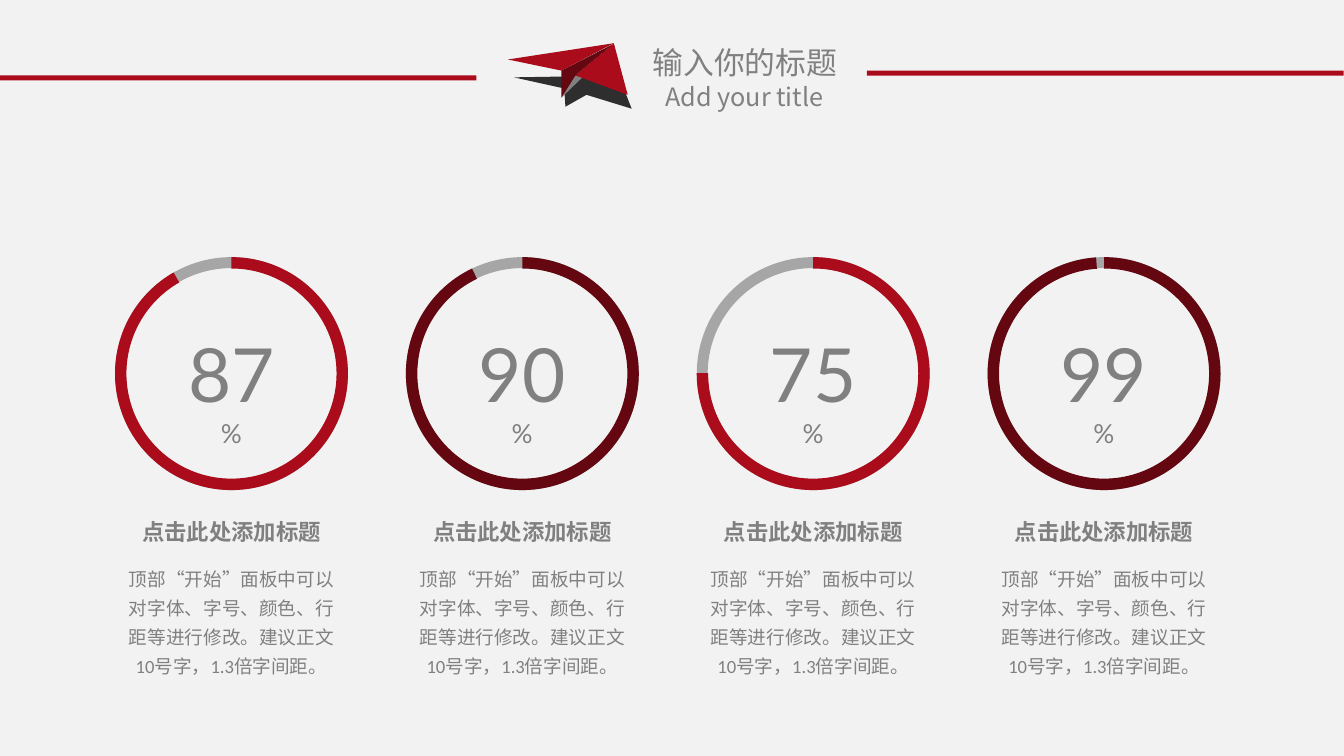
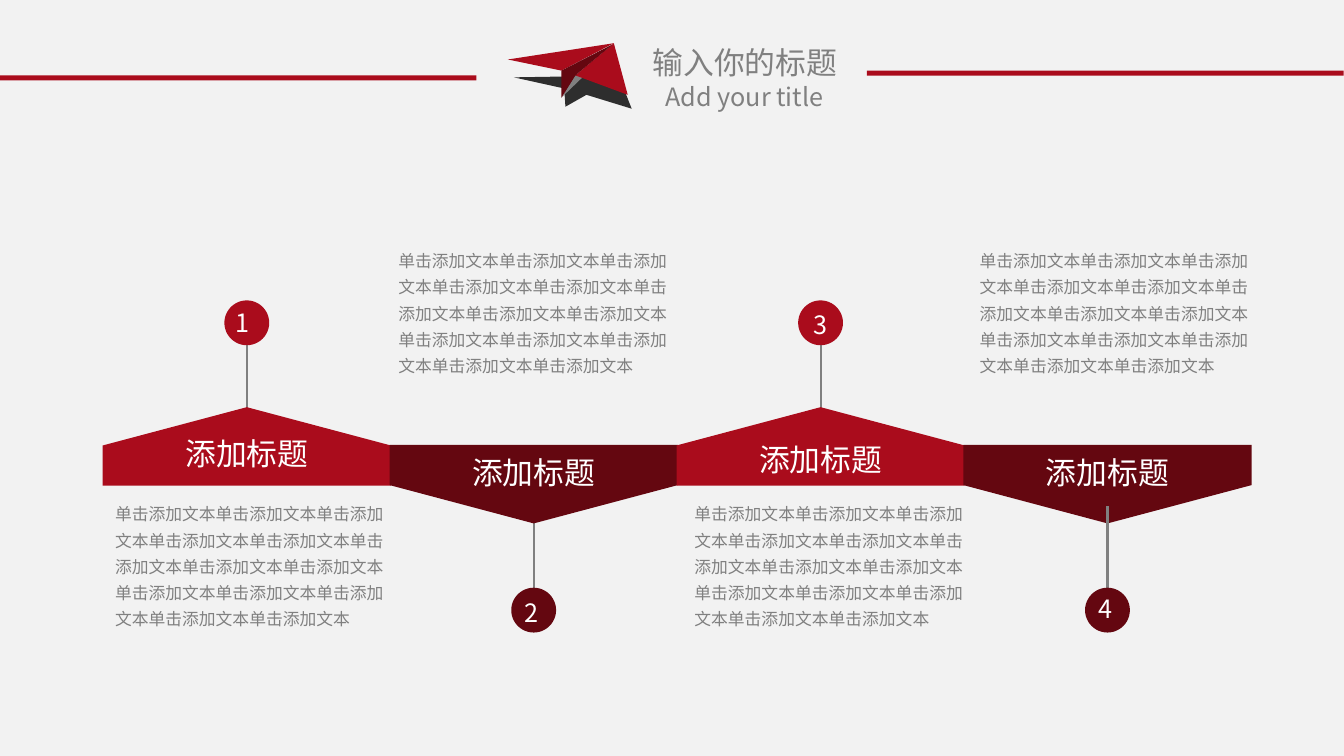
from dataclasses import dataclass

from lxml import etree
from pptx import Presentation
from pptx.dml.color import RGBColor
from pptx.enum.shapes import MSO_CONNECTOR, MSO_SHAPE
from pptx.enum.text import PP_ALIGN
from pptx.oxml.ns import qn
from pptx.util import Cm, Pt

RECT, DONUT, ARC = MSO_SHAPE.RECTANGLE, MSO_SHAPE.DONUT, MSO_SHAPE.BLOCK_ARC
OVAL, PLATE = MSO_SHAPE.OVAL, MSO_SHAPE.PENTAGON
STRAIGHT = MSO_CONNECTOR.STRAIGHT
LEFT, CENTER = PP_ALIGN.LEFT, PP_ALIGN.CENTER

PAPER = RGBColor(0xF2, 0xF2, 0xF2)
RED = RGBColor(0xAA, 0x0C, 0x1C)
MAROON = RGBColor(0x64, 0x07, 0x10)
CHARCOAL = RGBColor(0x2E, 0x2E, 0x2E)
GRAY = RGBColor(0x80, 0x80, 0x80)
SILVER = RGBColor(0xA6, 0xA6, 0xA6)
WHITE = RGBColor(0xFF, 0xFF, 0xFF)
CJK = "Noto Sans CJK SC"

SLIDE_WIDTH, SLIDE_HEIGHT = 33.87, 19.05
DEFAULT_INSETS, GAUGE_INSETS, BODY_INSETS = (0.25, 0.13), (0.33, 0.18), (0.18, 0.1)

PLANE_FACETS = [
    (CHARCOAL, [(1.57, 0.71), (2.95, 1.22), (3.12, 1.65), (1.98, 1.3),
                (1.45, 1.6), (1.42, 1.14), (0.15, 0.86), (1.37, 0.84)]),
    (GRAY, [(1.7, 0.81), (1.88, 0.86), (1.35, 1.37)]),
    (RED, [(1.7, 0.81), (2.67, 0), (3.02, 1.3)]),
    (RED, [(1.35, 0.69), (2.67, 0), (0, 0.41)]),
    (MAROON, [(1.35, 0.69), (2.54, 0.08), (2.64, 0.03), (1.7, 0.81), (1.35, 1.37)]),
]

GAUGE_SIZE, GAUGE_PITCH = 5.87, 7.33
GAUGES = [("87", 29.8, RED), ("90", 25.6, MAROON), ("75", 89.8, RED), ("99", 3.9, MAROON)]
GAUGE_TITLE = "点击此处添加标题"
GAUGE_BODY = "顶部“开始”面板中可以对字体、字号、颜色、行距等进行修改。建议正文10号字，1.3倍字间距。"


@dataclass
class Direction:
    """Layout of a step that points up or down, in cm from the top of the step."""
    color: RGBColor
    rotation: int
    plate_top: float
    node_top: float
    stem: tuple
    body_top: float


@dataclass
class Step:
    """One numbered step and the places of its texts, in cm inside its box."""
    number: str
    direction: Direction
    number_at: tuple
    label_top: float
    body_left: float
    pin_in_front: bool = False


UP = Direction(RED, 270, 4.19, 1.5, (2.46, 4.67), 6.38)
DOWN = Direction(MAROON, 90, 5.14, 8.74, (8.87, 6.68), 0)
STEP_WIDTH, STEP_PITCH, PLATE_HEIGHT, NODE_SIZE = 7.26, 7.23, 1.98, 1.13
STEPS = [
    Step("1", UP, (3.1, 1.55), 4.85, 0.13),
    Step("2", DOWN, (3.16, 8.84), 5.33, 0.04),
    Step("3", UP, (3.19, 1.6), 5, 0.27),
    Step("4", DOWN, (3.15, 8.76), 5.33, 0.23, pin_in_front=True),
]
STEP_LABEL = "添加标题"
STEP_BODY = "单击添加文本" * 13


def paint(shape, color):
    """Give a shape a flat fill without line or shadow."""
    shape.shadow.inherit = False
    shape.fill.solid()
    shape.fill.fore_color.rgb = color
    shape.line.fill.background()


def add_block(slide, preset, left, top, width, height, color):
    """Add a flat preset shape."""
    block = slide.shapes.add_shape(preset, Cm(left), Cm(top), Cm(width), Cm(height))
    paint(block, color)
    return block


def add_text(slide, box, text, size, color=GRAY, font=CJK, align=CENTER,
             insets=DEFAULT_INSETS, spacing=None, bold=False, wrap=True):
    """Add a one-paragraph text box and return the paragraph."""
    frame = slide.shapes.add_textbox(*map(Cm, box)).text_frame
    frame.word_wrap = wrap
    frame.margin_left = frame.margin_right = Cm(insets[0])
    frame.margin_top = frame.margin_bottom = Cm(insets[1])
    paragraph = frame.paragraphs[0]
    paragraph.add_run().text = text
    paragraph.alignment = align
    if spacing:
        paragraph.line_spacing = spacing
    paragraph.font.size = Pt(size)
    paragraph.font.bold = bold
    paragraph.font.color.rgb = color
    paragraph.font.name = font
    defaults = paragraph._p.pPr.find(qn("a:defRPr"))
    etree.SubElement(defaults, qn("a:ea")).set("typeface", CJK)
    return paragraph


def add_plane(slide, left, top):
    """Draw the folded paper plane from its facets."""
    for color, facet in PLANE_FACETS:
        corners = [(Cm(left + x), Cm(top + y)) for x, y in facet]
        builder = slide.shapes.build_freeform(*corners[0])
        builder.add_line_segments(corners[1:], close=True)
        paint(builder.convert_to_shape(), color)


def add_header(slide):
    """Place the title, the plane and the two red bars."""
    add_text(slide, (14.86, 0.97, 7.82, 1.19), "输入你的标题", 22)
    add_text(slide, (15.37, 1.93, 6.78, 1.02), "Add your title", 18)
    add_block(slide, RECT, 0, 1.9, 12.01, 0.13, RED)
    add_block(slide, RECT, 21.85, 1.78, 12.01, 0.13, RED)
    add_plane(slide, 12.8, 1.09)


def add_base_slide(deck):
    """Add a blank slide with the shared background and header."""
    slide = deck.slides.add_slide(deck.slide_layouts[6])
    slide.background.fill.solid()
    slide.background.fill.fore_color.rgb = PAPER
    add_header(slide)
    return slide


def add_gauge(slide, left, top, value, gap, color):
    """Place a ring gauge, whose open gap is in degrees, above its texts."""
    ring = add_block(slide, DONUT, left, top, GAUGE_SIZE, GAUGE_SIZE, SILVER)
    ring.adjustments[0] = 0.047
    arc = add_block(slide, ARC, left, top, GAUGE_SIZE, GAUGE_SIZE, color)
    for index, setting in enumerate((270 * 0.6, (270 - gap) * 0.6, 0.049)):
        arc.adjustments[index] = setting
    figure = add_text(slide, (left + 1.28, top + 1.6, 3.3, 2.62), value, 53.3,
                      font="Lato", insets=GAUGE_INSETS)
    percent = figure.add_run()
    percent.text = "%"
    percent.font.size = Pt(18.7)
    add_text(slide, (left, top + 6.4, GAUGE_SIZE, 1.02), GAUGE_TITLE, 16,
             font="Arial", insets=GAUGE_INSETS, bold=True)
    add_text(slide, (left, top + 7.49, GAUGE_SIZE, 3.3), GAUGE_BODY, 13.3,
             font="Calibri", insets=GAUGE_INSETS, spacing=1.3)


def add_pin(slide, left, top, step):
    """Place the stem, the node and the number of a step."""
    direction = step.direction
    middle = left + STEP_WIDTH / 2
    start, end = direction.stem
    stem = slide.shapes.add_connector(
        STRAIGHT, Cm(middle), Cm(top + start), Cm(middle), Cm(top + end))
    stem.line.color.rgb = GRAY
    stem.line.width = Pt(1.5)
    etree.SubElement(stem._element.spPr, qn("a:effectLst"))
    add_block(slide, OVAL, middle - NODE_SIZE / 2, top + direction.node_top,
              NODE_SIZE, NODE_SIZE, direction.color)
    number_left, number_top = step.number_at
    add_text(slide, (left + number_left, top + number_top, 0.89, 1.02),
             step.number, 18, color=WHITE, align=LEFT, wrap=False)


def add_plate(slide, left, top, step):
    """Place the pointed plate of a step with its label."""
    direction = step.direction
    turn = (STEP_WIDTH - PLATE_HEIGHT) / 2
    plate = add_block(slide, PLATE, left + turn, top + direction.plate_top - turn,
                      PLATE_HEIGHT, STEP_WIDTH, direction.color)
    plate.rotation = direction.rotation
    plate.adjustments[0] = 0.487
    add_text(slide, (left + 0.58, top + step.label_top, 6.1, 1.09),
             STEP_LABEL, 22, color=WHITE, spacing=0.9)


def add_step(slide, left, top, step):
    """Place one step: pin, plate and body text."""
    parts = [add_plate, add_pin] if step.pin_in_front else [add_pin, add_plate]
    for add_part in parts:
        add_part(slide, left, top, step)
    add_text(slide, (left + step.body_left, top + step.direction.body_top, 7.21, 3.53),
             STEP_BODY, 12, align=LEFT, insets=BODY_INSETS, spacing=1.3)


def build_gauge_slide(deck):
    """Build the slide with four percentage gauges."""
    slide = add_base_slide(deck)
    for index, gauge in enumerate(GAUGES):
        add_gauge(slide, 2.9 + index * GAUGE_PITCH, 6.48, *gauge)


def build_step_slide(deck):
    """Build the slide with four alternating steps."""
    slide = add_base_slide(deck)
    for index, step in enumerate(STEPS):
        add_step(slide, 2.59 + index * STEP_PITCH, 6.07, step)


def main():
    """Build and save the deck."""
    deck = Presentation()
    deck.slide_width, deck.slide_height = Cm(SLIDE_WIDTH), Cm(SLIDE_HEIGHT)
    build_gauge_slide(deck)
    build_step_slide(deck)
    deck.save("out.pptx")


if __name__ == "__main__":
    main()
